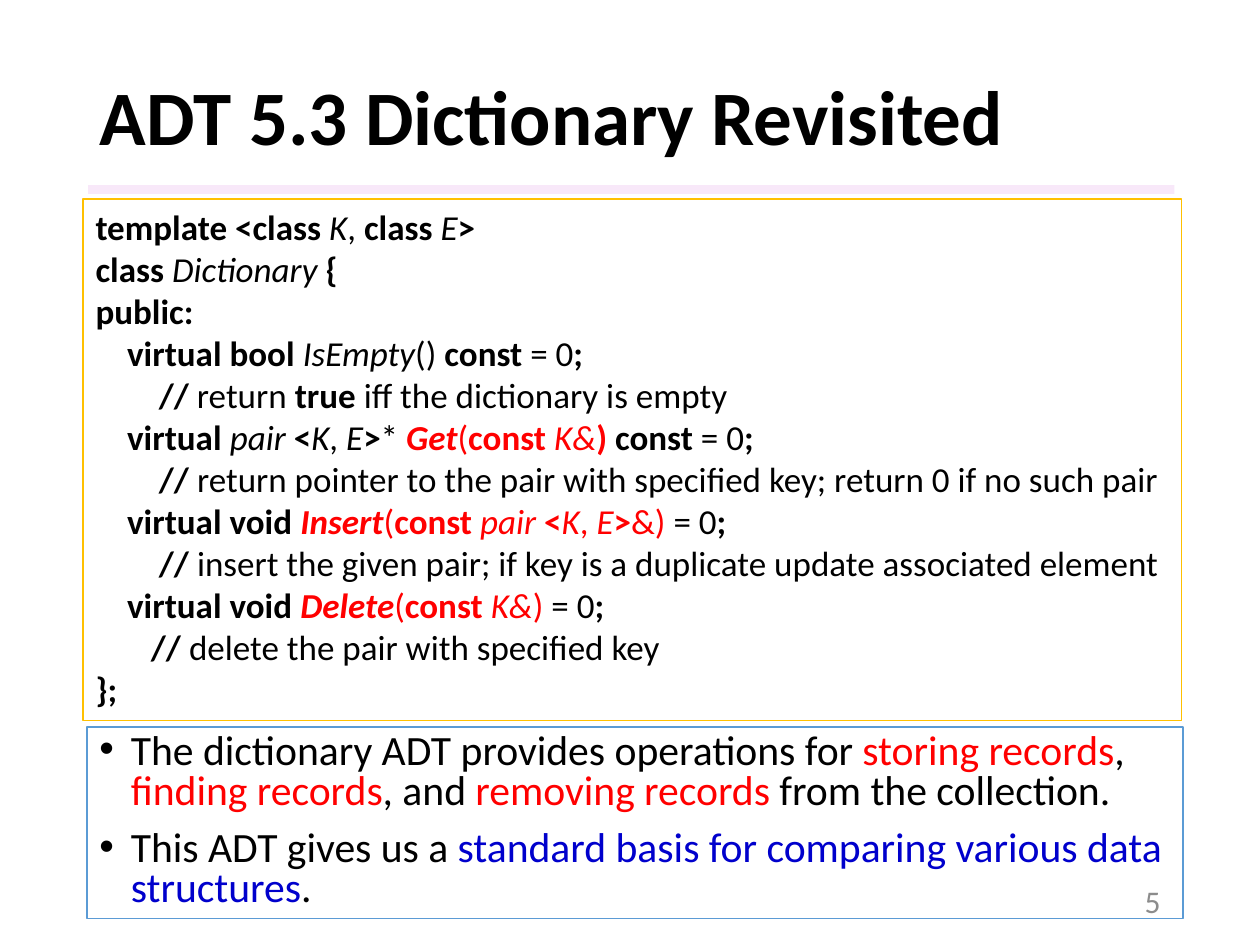
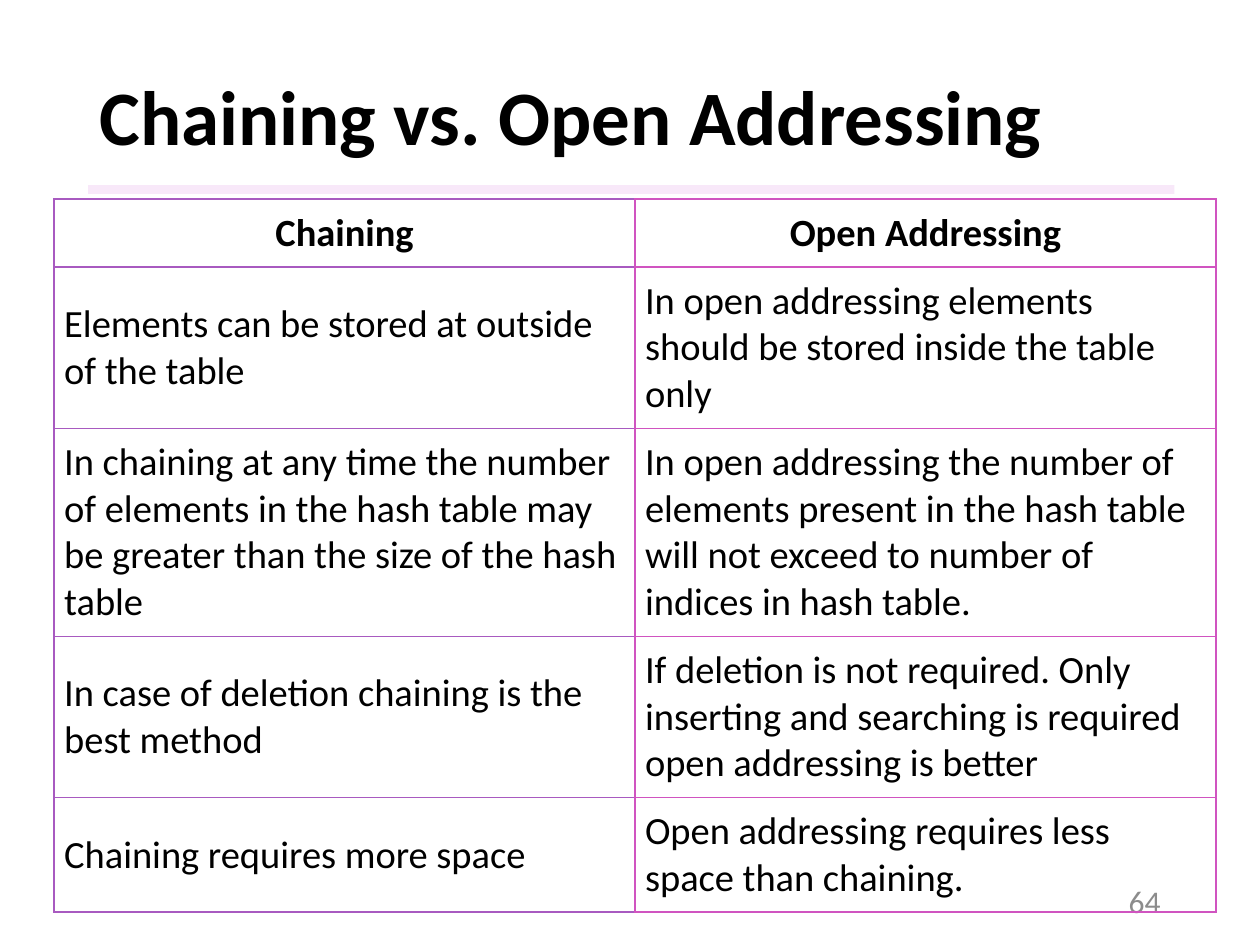
"""Build two slides on dictionaries and on handling collisions in hash tables."""
from lxml import etree
from pptx import Presentation
from pptx.dml.color import RGBColor
from pptx.enum.shapes import MSO_SHAPE
from pptx.enum.text import MSO_ANCHOR, PP_ALIGN
from pptx.oxml.ns import qn
from pptx.util import Inches, Pt

RECT = MSO_SHAPE.RECTANGLE
TOP, MIDDLE = MSO_ANCHOR.TOP, MSO_ANCHOR.MIDDLE
LEFT, CENTER, RIGHT = PP_ALIGN.LEFT, PP_ALIGN.CENTER, PP_ALIGN.RIGHT

BLACK = RGBColor(0x00, 0x00, 0x00)
RED = RGBColor(0xFF, 0x00, 0x00)
BLUE = RGBColor(0x00, 0x00, 0xCC)
GRAY = RGBColor(0x8C, 0x8C, 0x8C)
PINK = RGBColor(0xF3, 0xD2, 0xF4)
GOLD = RGBColor(0xFF, 0xC0, 0x00)
SKY = RGBColor(0x5B, 0x9B, 0xD5)
PURPLE = RGBColor(0xA8, 0x5A, 0xC0)
ROSE = RGBColor(0xD0, 0x54, 0xC0)

FLAGS = {"b": ("bold", True), "i": ("italic", True)}
INKS = {"r": RED, "u": BLUE, "g": GRAY}

CODE = [
    [("b", "template <class "), ("i", "K"), ("", ","), ("b", " class "), ("i", "E"), ("b", ">")],
    [("b", "class "), ("i", "Dictionary "), ("b", "{")],
    [("b", "public:")],
    [("b", "    virtual bool "), ("i", "IsEmpty"), ("", "() "), ("b", "const "), ("", "= 0"),
     ("b", ";")],
    [("b", "        //"), ("", " return "), ("b", "true "), ("", "iff the dictionary is empty")],
    [("b", "    virtual "), ("i", "pair "), ("b", "<"), ("i", "K"), ("", ", "), ("i", "E"),
     ("b", ">"), ("", "* "), ("rbi", "Get"), ("r", "("), ("rb", "const "), ("ri", "K&"),
     ("rb", ")"), ("b", " const "), ("", "= 0"), ("b", ";")],
    [("b", "        // "),
     ("", "return pointer to the pair with specified key; return 0 if no such pair")],
    [("b", "    virtual void "), ("rbi", "Insert"), ("r", "("), ("rb", "const "), ("ri", "pair "),
     ("rb", "<"), ("ri", "K"), ("r", ", "), ("ri", "E"), ("rb", ">"), ("r", "&) "), ("", "= 0"),
     ("b", ";")],
    [("b", "        // "),
     ("", "insert the given pair; if key is a duplicate update associated element")],
    [("b", "    virtual void "), ("rbi", "Delete"), ("r", "("), ("rb", "const "), ("ri", "K&"),
     ("r", ") "), ("", "= 0"), ("b", ";")],
    [("b", "       // "), ("", "delete the pair with specified key")],
    [("b", "};")],
]
POINTS = [
    [("", "The dictionary ADT provides operations for "), ("r", "storing records"), ("", ", "),
     ("r", "finding records"), ("", ", and "), ("r", "removing records "),
     ("", "from the collection.")],
    [("", "This ADT gives us a "),
     ("u", "standard basis for comparing various data structures"), ("", ".")],
]
ROWS = [
    ("Chaining", "Open Addressing"),
    ("Elements can be stored at outside of the table",
     "In open addressing elements should be stored inside the table only"),
    ("In chaining at any time the number of elements in the hash table may be greater than "
     "the size of the hash table",
     "In open addressing the number of elements present in the hash table will not exceed "
     "to number of indices in hash table."),
    ("In case of deletion chaining is the best method",
     "If deletion is not required. Only inserting and searching is required open addressing "
     "is better"),
    ("Chaining requires more space", "Open addressing requires less space than chaining."),
]
HEIGHTS = (0.54, 1.28, 1.65, 1.28, 0.91)


def apply(obj, **values):
    """Set each named value on an object."""
    for name, value in values.items():
        setattr(obj, name, value)


def place(left, top, width, height):
    """Turn four lengths in inches into a box."""
    return Inches(left), Inches(top), Inches(width), Inches(height)


class Deck:
    """Hold the shared style and the current slide."""

    font = "Calibri"

    def __init__(self):
        """Open an empty deck of 10 by 7.5 inches."""
        self.prs = Presentation()
        apply(self.prs, slide_width=Inches(10), slide_height=Inches(7.5))
        self.slide = None

    def start(self, title, number):
        """Add a slide with its title, band and number."""
        self.slide = self.prs.slides.add_slide(self.prs.slide_layouts[5])
        head = self.slide.shapes.title
        left, top, width, height = place(0.69, 0.4, 8.62, 1.11)
        apply(head, left=left, top=top, width=width, height=height)
        self.text(head.text_frame, [[("b", title)]], 44, anchor=MIDDLE, spacing=0.9)
        self.band()
        note = self.slide.shapes.add_textbox(*place(7.06, 6.95, 2.25, 0.4))
        self.text(note.text_frame, [[("g", str(number))]], 18, anchor=MIDDLE, align=RIGHT)

    def band(self):
        """Draw the pale band below the title."""
        bar = self.slide.shapes.add_shape(RECT, *place(0.7, 1.47, 8.62, 0.07))
        bar.shadow.inherit = False
        bar.fill.solid()
        bar.fill.fore_color.rgb = PINK
        bar.line.fill.background()
        tone = bar._element.spPr.find(qn("a:solidFill"))[0]
        etree.SubElement(tone, qn("a:alpha"), val="50000")

    def panel(self, box, edge, lines, size, **style):
        """Draw an outlined box with text."""
        frame = self.slide.shapes.add_shape(RECT, *place(*box))
        frame.shadow.inherit = False
        frame.fill.background()
        frame.line.color.rgb = edge
        frame.line.width = Pt(0.75)
        self.text(frame.text_frame, lines, size, **style)

    def text(self, frame, lines, size, anchor=TOP, align=LEFT, spacing=1.0, gap=0,
             bullet=False):
        """Fill a text frame with lines of flagged runs."""
        apply(frame, word_wrap=True, vertical_anchor=anchor)
        for index, line in enumerate(lines):
            para = frame.add_paragraph() if index else frame.paragraphs[0]
            if bullet:
                props = para._p.get_or_add_pPr()
                props.set("marL", str(Inches(0.25)))
                props.set("indent", str(-Inches(0.25)))
                etree.SubElement(props, qn("a:buFont"), typeface="Arial")
                etree.SubElement(props, qn("a:buChar"), char="•")
            apply(para, alignment=align, line_spacing=spacing,
                  space_before=Pt(gap if index else 0))
            for flags, words in line:
                run = para.add_run()
                run.text = words
                look = {"name": self.font, "size": Pt(size), "bold": False, "italic": False}
                look.update(FLAGS[flag] for flag in flags if flag in FLAGS)
                apply(run.font, **look)
                run.font.color.rgb = next((INKS[f] for f in flags if f in INKS), BLACK)

    def edges(self, cell, colors):
        """Rule the left, right, top and bottom of a cell."""
        props = cell._tc.get_or_add_tcPr()
        for index, (side, color) in enumerate(zip("LRTB", colors)):
            line = etree.Element(qn(f"a:ln{side}"), w=str(Pt(1)))
            fill = etree.SubElement(line, qn("a:solidFill"))
            etree.SubElement(fill, qn("a:srgbClr"), val=str(color))
            props.insert(index, line)

    def table(self, box, rows, heights, size):
        """Draw a ruled table with a bold first row."""
        grid = self.slide.shapes.add_table(len(rows), len(rows[0]), *place(*box)).table
        apply(grid, first_row=False, horz_banding=False)
        pad = Inches(0.08)
        for r, row in enumerate(rows):
            grid.rows[r].height = Inches(heights[r])
            for c, words in enumerate(row):
                cell = grid.cell(r, c)
                apply(cell, margin_left=pad, margin_right=pad, margin_top=pad,
                      margin_bottom=pad, vertical_anchor=MIDDLE)
                cell.fill.background()
                tint = ROSE if c else PURPLE
                self.edges(cell, (tint, ROSE, tint, tint))
                self.text(cell.text_frame, [[("" if r else "b", words)]], size,
                          anchor=MIDDLE, align=LEFT if r else CENTER)


def main():
    """Build both slides and save them."""
    deck = Deck()
    deck.start("ADT 5.3 Dictionary Revisited", 5)
    deck.panel((0.66, 1.58, 8.72, 4.14), GOLD, CODE, 20)
    deck.panel((0.69, 5.77, 8.7, 1.52), SKY, POINTS, 23.8, spacing=0.8, gap=10, bullet=True)
    deck.start("Chaining vs. Open Addressing", 64)
    deck.table((0.43, 1.58, 9.22, sum(HEIGHTS)), ROWS, HEIGHTS, 22)
    deck.prs.save("out.pptx")


if __name__ == "__main__":
    main()
